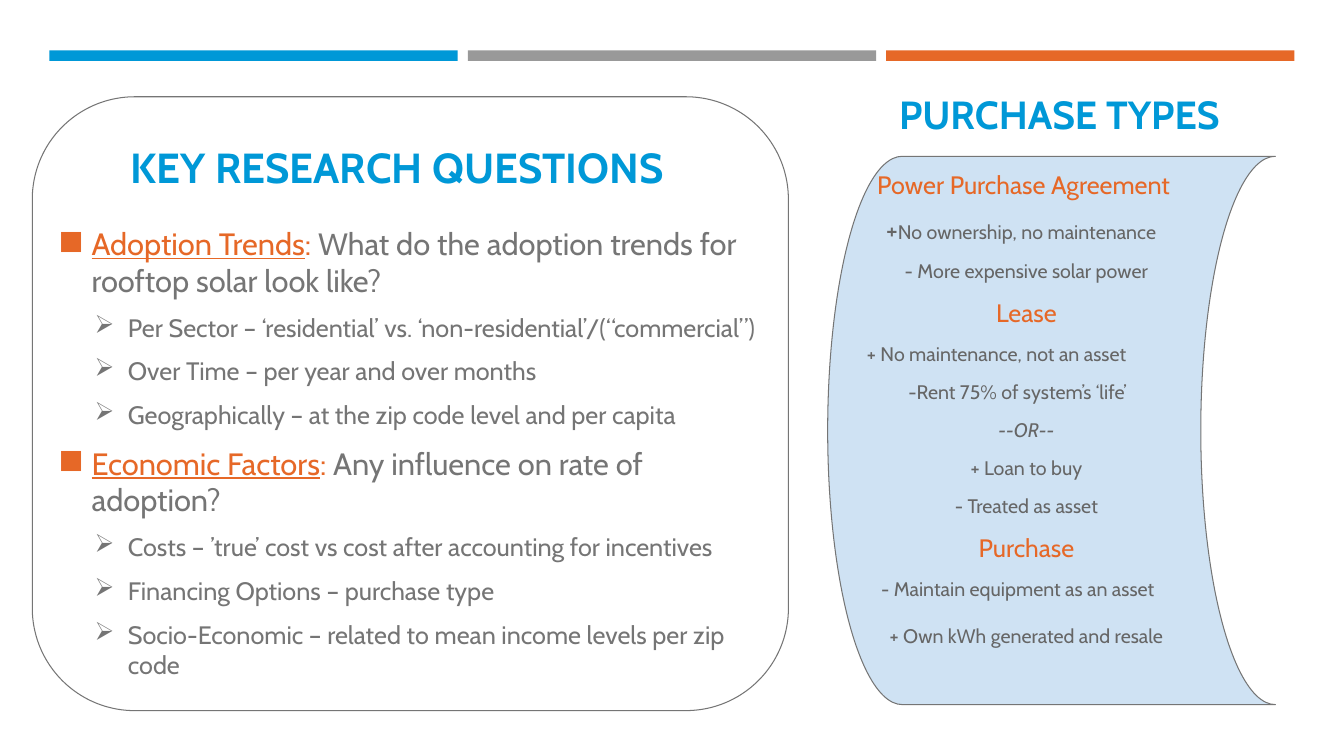
from lxml import etree
from pptx import Presentation
from pptx import util as u
from pptx.dml.color import RGBColor
from pptx.enum import shapes, text
from pptx.oxml.ns import qn

COLORS = {"blue": "0098D7", "gray": "999999", "orange": "E66827", "white": "FFFFFF",
          "outline": "757575", "body": "757575", "detail": "666666", "sky": "CFE2F3"}


class SlideBuilder:
    """Draws styled elements on one page, with lengths in percent of the slide."""

    def __init__(self, deck, font):
        self.deck = deck
        self.font = font
        self.page = deck.slides.add_slide(deck.slide_layouts[5])

    def place(self, left, top, width, height):
        across, down = self.deck.slide_width / 100, self.deck.slide_height / 100
        return [u.Emu(round(size)) for size in
                (left * across, top * down, width * across, height * down)]

    def color(self, name):
        return RGBColor.from_string(COLORS[name])

    def shape(self, kind, area, fill, line=None):
        shape = self.page.shapes.add_shape(kind, *self.place(*area))
        shape.shadow.inherit = False
        shape.fill.solid()
        shape.fill.fore_color.rgb = self.color(fill)
        if line:
            shape.line.color.rgb = self.color(line)
            shape.line.width = u.Pt(0.75)
        else:
            shape.line.fill.background()
        return shape

    def title(self, area, words, size):
        box = self.page.shapes.title
        box.left, box.top, box.width, box.height = self.place(*area)
        self.page.shapes.element.append(box.element)
        self.heading(box, words, size)

    def label(self, area, words, size):
        self.heading(self.page.shapes.add_textbox(*self.place(*area)), words, size)

    def heading(self, box, words, size):
        frame = self.frame(box, text.MSO_ANCHOR.MIDDLE)
        para = frame.paragraphs[0]
        para.alignment = text.PP_ALIGN.CENTER
        self.span(para, words, size, "blue", bold=True)

    def body(self, area):
        return self.frame(self.page.shapes.add_textbox(*self.place(*area)), text.MSO_ANCHOR.TOP)

    def frame(self, box, anchor):
        frame = box.text_frame
        frame.word_wrap = True
        frame.auto_size = text.MSO_AUTO_SIZE.NONE
        frame.vertical_anchor = anchor
        return frame

    def para(self, frame, before, align=text.PP_ALIGN.LEFT, margin=0.0):
        first = not frame.paragraphs[0].runs
        para = frame.paragraphs[0] if first else frame.add_paragraph()
        para.alignment = align
        para.space_before = u.Pt(0 if first else before)
        para._p.get_or_add_pPr().set("marL", str(u.Inches(margin)))
        return para

    def bullet(self, para, mark, color):
        props = para._p.get_or_add_pPr()
        props.set("indent", str(u.Inches(-0.33)))
        tint = etree.SubElement(props, qn("a:buClr"))
        etree.SubElement(tint, qn("a:srgbClr")).set("val", COLORS[color])
        etree.SubElement(props, qn("a:buChar")).set("char", mark)

    def span(self, para, words, size, color, bold=False, italic=False, underline=False):
        span = para.add_run()
        span.text = words
        font = span.font
        font.name, font.size = self.font, u.Pt(size)
        font.bold, font.italic, font.underline = bold, italic, underline
        font.color.rgb = self.color(color)

    def topic(self, frame, name, question, points):
        para = self.para(frame, 10.4, margin=0.33)
        self.bullet(para, "◼", "orange")
        self.span(para, name, 22, "orange", underline=True)
        self.span(para, ": ", 22, "orange")
        self.span(para, question, 22, "body")
        for point in points:
            para = self.para(frame, 9.6, margin=0.69)
            para.level = 1
            self.bullet(para, "➢", "body")
            self.span(para, point, 18, "body")

    def option(self, frame, name):
        para = self.para(frame, 10.4, text.PP_ALIGN.CENTER)
        self.span(para, name, 18, "orange")

    def detail(self, frame, words, margin=None, before=10.4, sign="", italic=False):
        align = text.PP_ALIGN.CENTER if margin is None else text.PP_ALIGN.LEFT
        para = self.para(frame, before, align, margin or 0)
        if sign:
            self.span(para, sign, 18, "detail")
        self.span(para, words, 14, "detail", italic=italic)


def main():
    deck = Presentation()
    deck.slide_width, deck.slide_height = u.Inches(13.33), u.Inches(7.5)
    slide = SlideBuilder(deck, "Cabin")
    kinds = shapes.MSO_SHAPE

    for column, color in enumerate(("blue", "gray", "orange")):
        slide.shape(kinds.RECTANGLE, (3.68 + 31.13 * column, 6.67, 30.38, 1.4), color)
    panel = slide.shape(kinds.ROUNDED_RECTANGLE, (2.4, 12.8, 56.26, 81.2), "white", "outline")
    panel.adjustments[0] = 0.167
    slide.shape(kinds.FLOWCHART_STORED_DATA, (61.59, 20.67, 33.31, 72.53), "sky", "outline")

    slide.title((4.2, 17.33, 50.71, 9.47), "KEY RESEARCH QUESTIONS", 30)
    questions = slide.body((3.6, 29.07, 54.46, 54.53))
    slide.topic(questions, "Adoption Trends",
                "What do the adoption trends for rooftop solar look like?",
                ("Per Sector – ‘residential’ vs. ‘non-residential’/(“commercial”)",
                 "Over Time – per year and over months",
                 "Geographically – at the zip code level and per capita"))
    slide.topic(questions, "Economic Factors", "Any influence on rate of adoption?",
                ("Costs – ’true’ cost vs cost after accounting for incentives",
                 "Financing Options – purchase type",
                 "Socio-Economic – related to mean income levels per zip code"))

    types = slide.body((63.77, 21.73, 25.21, 71.6))
    slide.option(types, "Power Purchase Agreement ")
    slide.detail(types, "No ownership, no maintenance", margin=0.19, sign="+")
    slide.detail(types, "- More expensive solar power")
    slide.option(types, "Lease")
    slide.detail(types, "+ No maintenance, not an asset", margin=0)
    slide.detail(types, "-Rent 75% of system’s ‘life’", margin=0.41)
    slide.detail(types, "--OR--", italic=True)
    slide.detail(types, "+ Loan to buy")
    slide.detail(types, "- Treated as asset")
    slide.option(types, "Purchase")
    slide.detail(types, "- Maintain equipment as an asset", margin=0.14, before=10)
    slide.detail(types, "+ Own kWh generated and resale", before=16.8)
    slide.label((65.42, 11.87, 26.78, 6.27), "PURCHASE TYPES", 28)

    deck.save("out.pptx")


if __name__ == "__main__":
    main()
